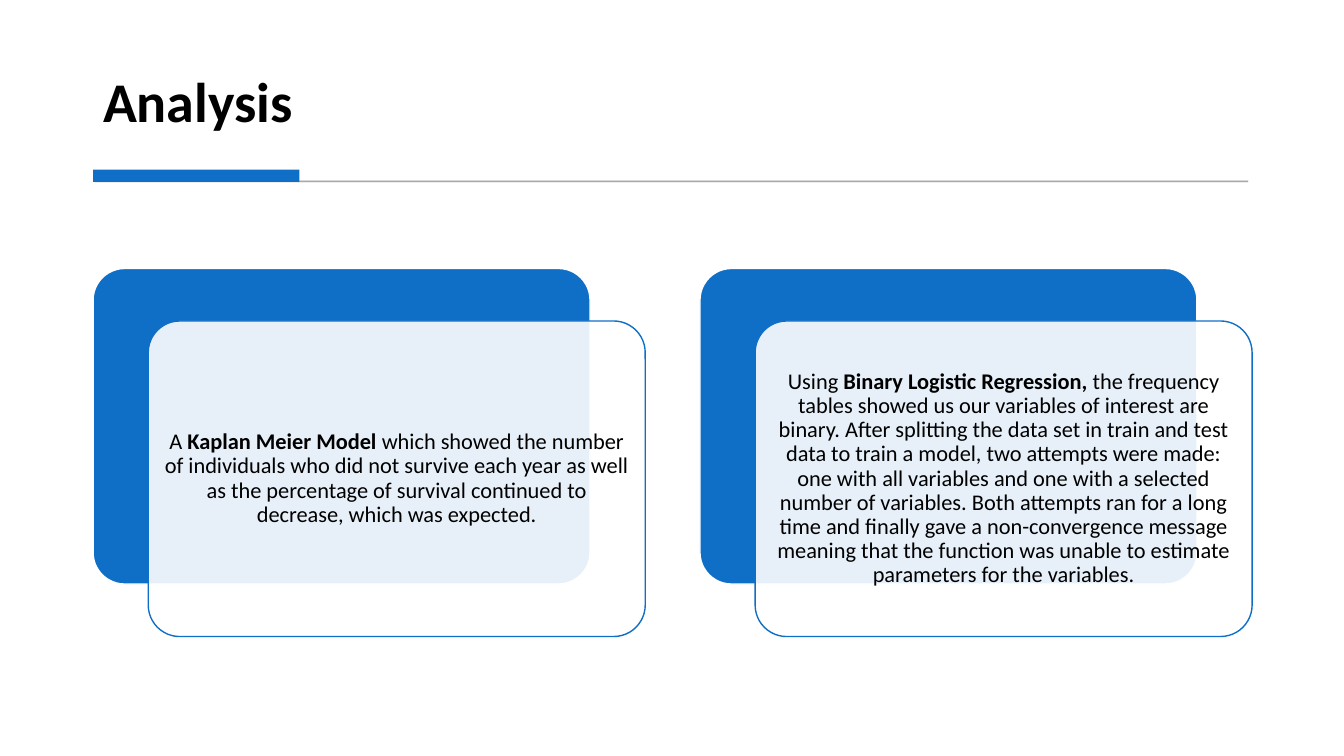
from pptx import Presentation
from pptx.dml.color import RGBColor
from pptx.enum import shapes, text
from pptx.oxml import parse_xml
from pptx.oxml.ns import nsdecls, qn
from pptx.util import Pt

# Content: (text, bold) runs for each card
TITLE = "Analysis"
CARDS = [
    [
        ("A ", False),
        ("Kaplan Meier Model ", True),
        ("which showed the number of individuals who did not survive each year "
         "as well as the percentage of survival continued to decrease, which was "
         "expected.", False),
    ],
    [
        ("Using ", False),
        ("Binary Logistic Regression, ", True),
        ("the frequency tables showed us our variables of interest are binary. "
         "After splitting the data set in train and test data to train a model, "
         "two attempts were made: one with all variables and one with a selected "
         "number of variables. Both attempts ran for a long time and finally gave "
         "a non-convergence message meaning that the function was unable to "
         "estimate parameters for the variables.", False),
    ],
]

# Style
FONT = "Calibri"
BLACK = RGBColor(0x00, 0x00, 0x00)
WHITE = RGBColor(0xFF, 0xFF, 0xFF)
BLUE = RGBColor(0x0F, 0x6F, 0xC6)
GRAY = RGBColor(0x59, 0x59, 0x59)

# Layout, in points
LEFT = 66.5
CARD_TOP = 191.8
CARD_WIDTH, CARD_HEIGHT = 355, 225.4
CARD_STEP = 433.5
OFFSET_X, OFFSET_Y = 39.4, 37.5
TEXT_INSET = 6.6
TEXT_MARGIN = 5


def set_opacity(fill_parent, percent):
    color = fill_parent.find(qn("a:solidFill"))[0]
    color.append(parse_xml(f'<a:alpha {nsdecls("a")} val="{percent * 1000}"/>'))


def add_block(slide, kind, box, fill, line=None, line_width=1, opacity=100):
    shape = slide.shapes.add_shape(kind, *map(Pt, box))
    shape.shadow.inherit = False
    shape.fill.solid()
    shape.fill.fore_color.rgb = fill
    if opacity < 100:
        set_opacity(shape._element.spPr, opacity)
    if line is None:
        shape.line.fill.background()
    else:
        shape.line.color.rgb = line
        shape.line.width = Pt(line_width)
    return shape


def add_text(slide, box, runs, size, anchor, align, margins):
    text_frame = slide.shapes.add_textbox(*map(Pt, box)).text_frame
    text_frame.word_wrap = True
    text_frame.vertical_anchor = anchor
    text_frame.margin_left = text_frame.margin_right = Pt(margins[0])
    text_frame.margin_top = text_frame.margin_bottom = Pt(margins[1])
    paragraph = text_frame.paragraphs[0]
    paragraph.alignment = align
    paragraph.line_spacing = 0.9
    for words, bold in runs:
        run = paragraph.add_run()
        run.text = words
        run.font.name = FONT
        run.font.size = Pt(size)
        run.font.bold = bold
        run.font.color.rgb = BLACK


def add_card(slide, left, runs):
    rounded = shapes.MSO_SHAPE.ROUNDED_RECTANGLE
    front_left, front_top = left + OFFSET_X, CARD_TOP + OFFSET_Y
    back = add_block(slide, rounded, (left, CARD_TOP, CARD_WIDTH, CARD_HEIGHT),
                     BLUE, WHITE)
    front = add_block(slide, rounded, (front_left, front_top, CARD_WIDTH, CARD_HEIGHT),
                      WHITE, BLUE, opacity=90)
    for shape in (back, front):
        shape.adjustments[0] = 0.1
    text_box = (front_left + TEXT_INSET, front_top + TEXT_INSET,
                CARD_WIDTH - 2 * TEXT_INSET, CARD_HEIGHT - 2 * TEXT_INSET)
    add_text(slide, text_box, runs, 16, text.MSO_ANCHOR.MIDDLE,
             text.PP_ALIGN.CENTER, (TEXT_MARGIN, TEXT_MARGIN))


def main():
    presentation = Presentation()
    presentation.slide_width, presentation.slide_height = Pt(960), Pt(540)
    slide = presentation.slides.add_slide(presentation.slide_layouts[6])

    # Title with its rule and accent bar
    add_text(slide, (LEFT, 20, 827, 80), [(TITLE, True)], 40,
             text.MSO_ANCHOR.BOTTOM, text.PP_ALIGN.LEFT, (7.2, 3.6))
    rectangle = shapes.MSO_SHAPE.RECTANGLE
    rule = add_block(slide, rectangle, (68.4, 129.2, 823, 0.7), GRAY, GRAY, 0.75, 30)
    set_opacity(rule.line._ln, 30)
    add_block(slide, rectangle, (LEFT, 121.2, 147.4, 8.8), BLUE)

    # Cards
    for index, runs in enumerate(CARDS):
        add_card(slide, LEFT + index * CARD_STEP, runs)

    presentation.save("out.pptx")


if __name__ == "__main__":
    main()
